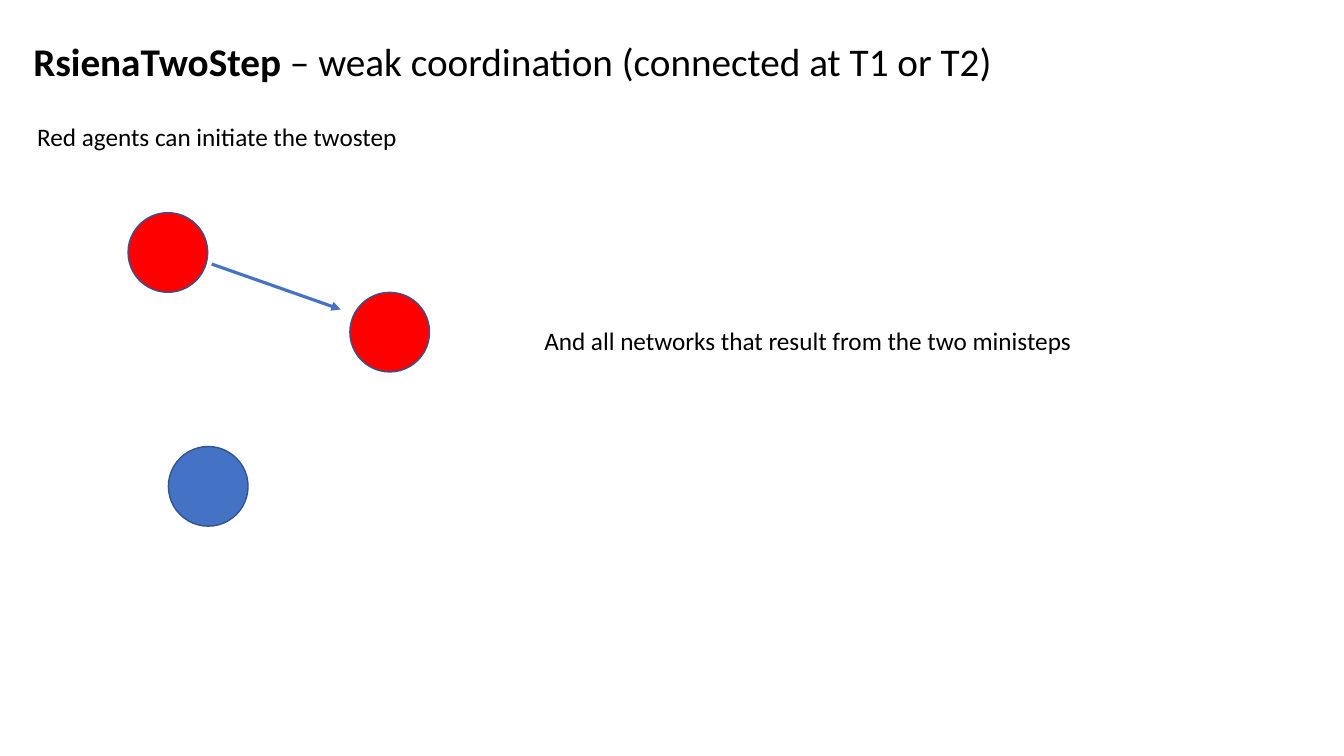
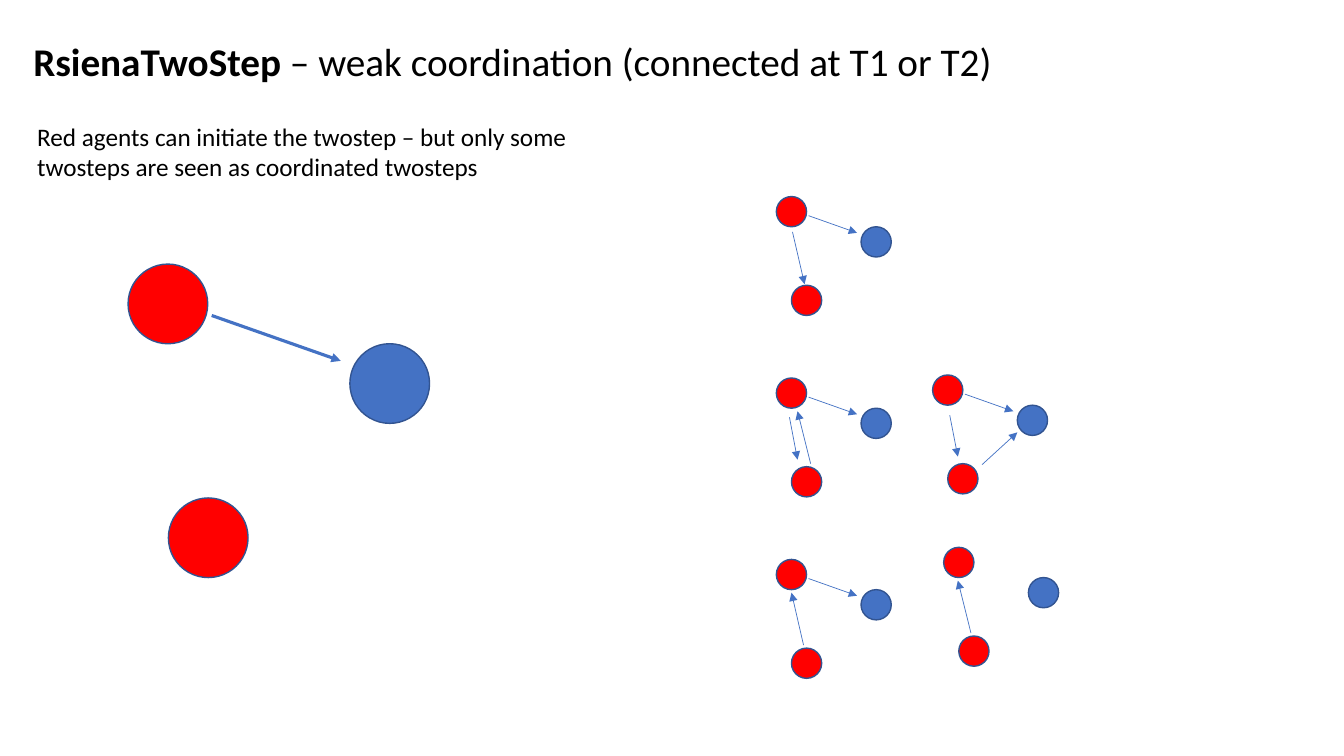
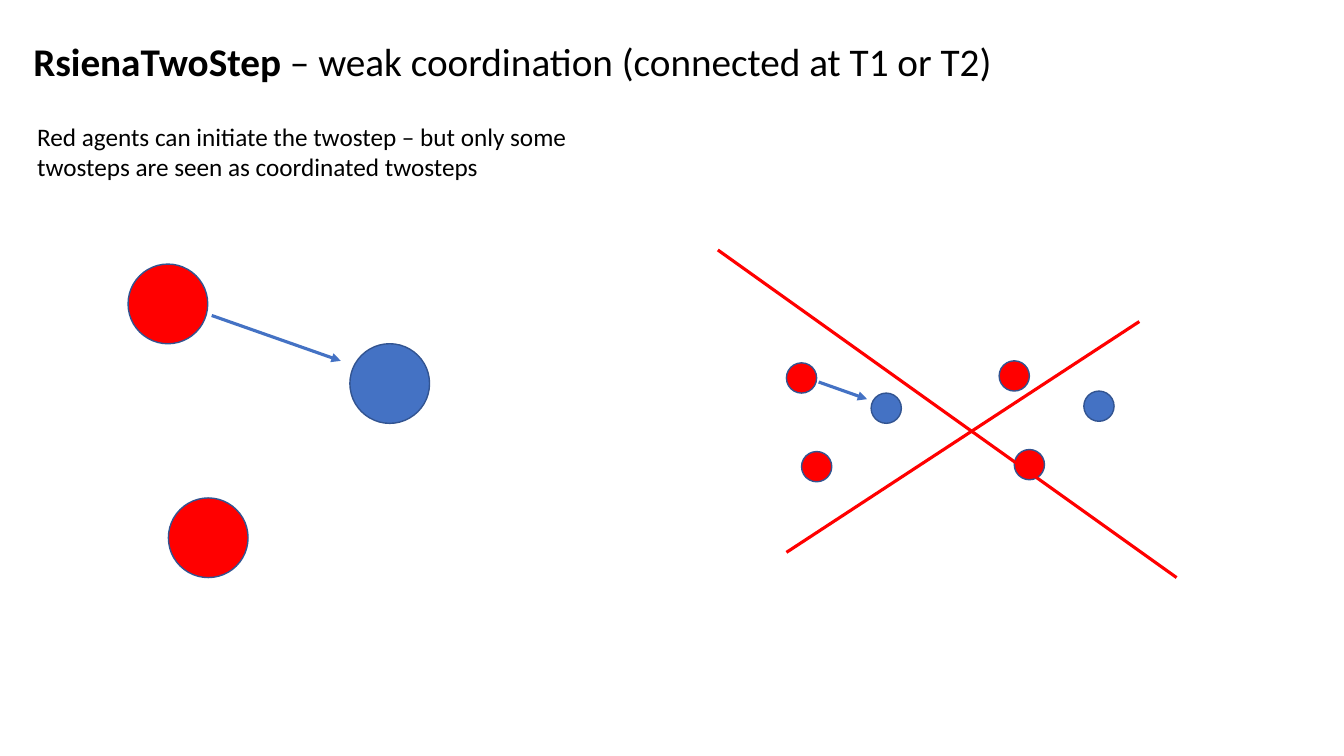
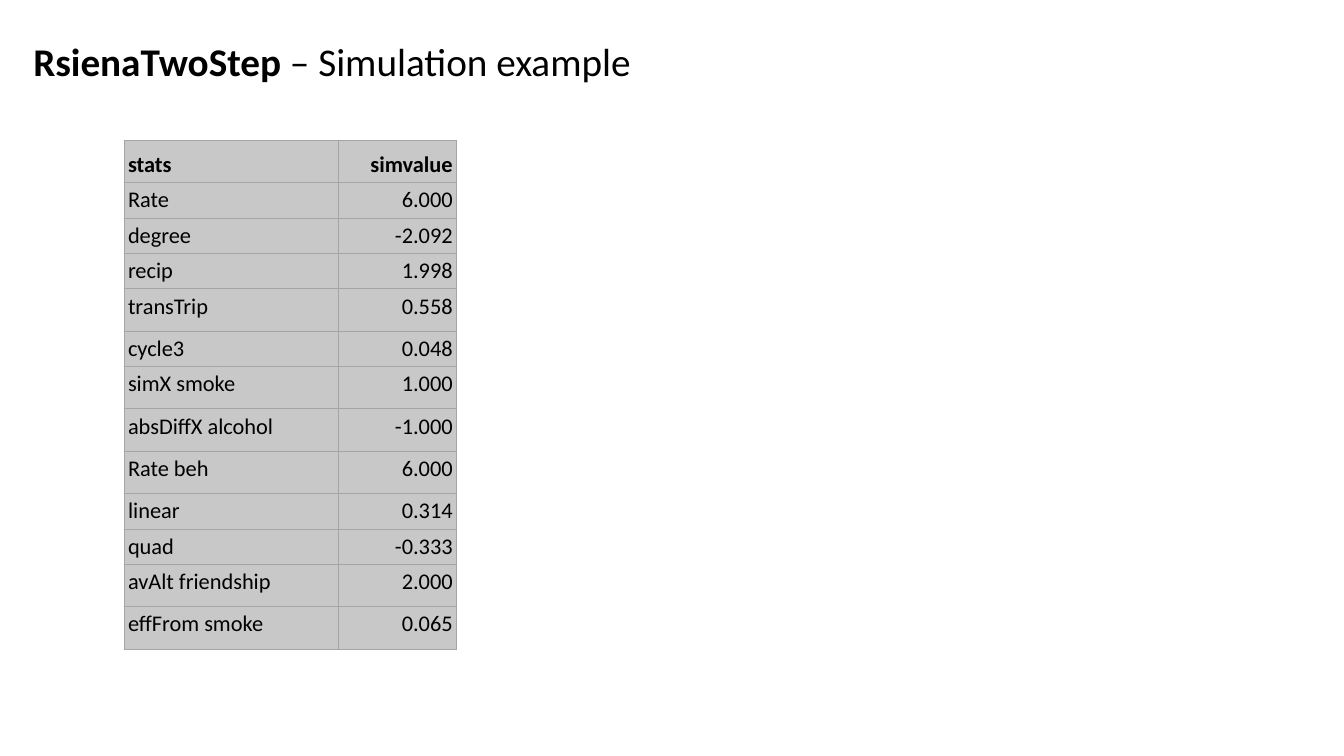
from lxml import etree
from pptx import Presentation
from pptx.dml.color import RGBColor
from pptx.enum.shapes import MSO_CONNECTOR, MSO_SHAPE
from pptx.enum.text import MSO_ANCHOR, MSO_AUTO_SIZE, PP_ALIGN
from pptx.oxml.ns import qn
from pptx.util import Pt

PX = 9144  # 100 px to the inch
ELLIPSE, STRAIGHT = MSO_SHAPE.OVAL, MSO_CONNECTOR.STRAIGHT
TOP, BOTTOM = MSO_ANCHOR.TOP, MSO_ANCHOR.BOTTOM
LEFT, RIGHT = PP_ALIGN.LEFT, PP_ALIGN.RIGHT
FONT = "Calibri"
BLACK, RED, BLUE, RIM = "000000", "FF0000", "4472C4", "325491"
CELL_FILL, CELL_LINE = "C8C8C8", "A5A5A5"
THICK, THIN = 2.25, 0.5

# A network: three agents and the tie from the first to the third
DIAMETER = 79
AGENTS = [(0, 0), (40, 232), (220, 79)]
TIE = (83, 51, 211, 96)
LARGE, SMALL = 1, 0.38
THIRD_RED, THIRD_BLUE = (RED, BLUE, RED), (RED, RED, BLUE)

WEAK = " – weak coordination (connected at T1 or T2)"
SOME = ("Red agents can initiate the twostep – but only some "
        "twosteps are seen as coordinated twosteps")
LARGE_NETWORK = (127, 262, LARGE, THIRD_BLUE, THICK, [])

# Networks: left, top, scale, agent colours, tie width, further ties from the corner
PAGES = [
    {"title": WEAK,
     "texts": [(530, 318, 637, 40, "And all networks that result from the two ministeps"),
               (27, 115, 620, 40, "Red agents can initiate the twostep")],
     "networks": [(127, 211, LARGE, THIRD_RED, THICK, [])]},
    {"title": WEAK,
     "texts": [(27, 115, 620, 71, SOME)],
     "networks": [
         LARGE_NETWORK,
         (770, 195, SMALL, THIRD_BLUE, THIN, [(16, 35, 28, 87)]),
         (770, 375, SMALL, THIRD_BLUE, THIN, [(13, 39, 21, 81), (34, 85, 21, 33)]),
         (770, 555, SMALL, THIRD_BLUE, THIN, [(27, 85, 15, 33)]),
         (925, 372, SMALL, THIRD_BLUE, THIN, [(17, 40, 25, 81), (49, 89, 84, 57)]),
         (936, 543, SMALL, THIRD_BLUE, None, [(27, 85, 14, 33)])]},
    {"title": WEAK,
     "texts": [(27, 115, 620, 71, SOME)],
     "networks": [
         LARGE_NETWORK,
         (780, 360, SMALL, THIRD_BLUE, THICK, []),
         (991, 358, SMALL, THIRD_BLUE, None, [])],
     "cross": [(712, 248, 1167, 573), (780, 548, 1130, 319)]},
    {"title": " – Simulation example"},
]

STATS = [
    ("stats", "simvalue"), ("Rate", "6.000"), ("degree", "-2.092"),
    ("recip", "1.998"), ("transTrip", "0.558"), ("cycle3", "0.048"),
    ("simX smoke", "1.000"), ("absDiffX alcohol", "-1.000"),
    ("Rate beh", "6.000"), ("linear", "0.314"), ("quad", "-0.333"),
    ("avAlt friendship", "2.000"), ("effFrom smoke", "0.065"),
]
SHORT_ROWS = ("Rate", "degree", "recip", "cycle3", "linear", "quad")


def add_text(frame, spans, size, align=LEFT):
    para = frame.paragraphs[0]
    para.alignment = align
    for words, bold in spans:
        span = para.add_run()
        span.text = words
        span.font.name = FONT
        span.font.size = Pt(size)
        span.font.bold = bold
        span.font.color.rgb = RGBColor.from_string(BLACK)


def add_line(shapes, ends, colour, width, arrow=True):
    line = shapes.add_connector(STRAIGHT, *(round(end) * PX for end in ends))
    line.line.color.rgb = RGBColor.from_string(colour)
    line.line.width = Pt(width)
    if arrow:
        etree.SubElement(line.line._get_or_add_ln(), qn("a:tailEnd"), type="triangle")
    etree.SubElement(line._element.spPr, qn("a:effectLst"))


deck = Presentation()
deck.slide_width, deck.slide_height = 1333 * PX, 750 * PX
title_only = deck.slide_layouts[5]

for content in PAGES:
    page = deck.slides.add_slide(title_only)

    # Title
    title = page.shapes.title
    title.left, title.top, title.width, title.height = 23 * PX, 32 * PX, 1311 * PX, 57 * PX
    title.text_frame.auto_size = MSO_AUTO_SIZE.NONE
    title.text_frame.vertical_anchor = TOP
    add_text(title.text_frame, [("RsienaTwoStep", True), (content["title"], False)], 28)

    # Networks
    for left, top, scale, colours, tie_width, ties in content.get("networks", []):
        shapes = page.shapes.add_group_shape().shapes
        size = round(DIAMETER * scale) * PX
        for (x, y), colour in zip(AGENTS, colours):
            agent = shapes.add_shape(ELLIPSE, round(left + x * scale) * PX,
                                     round(top + y * scale) * PX, size, size)
            agent.shadow.inherit = False
            agent.fill.solid()
            agent.fill.fore_color.rgb = RGBColor.from_string(colour)
            agent.line.color.rgb = RGBColor.from_string(RIM)
            agent.line.width = Pt(1)
        arrows = [(end, THIN) for end in ties]
        if tie_width:
            arrows.insert(0, ([end * scale for end in TIE], tie_width))
        for (x1, y1, x2, y2), width in arrows:
            add_line(shapes, (left + x1, top + y1, left + x2, top + y2), BLUE, width)

    # Cross over the excluded networks
    for ends in content.get("cross", []):
        add_line(page.shapes, ends, RED, THICK, arrow=False)

    # Explanations
    for left, top, width, height, words in content.get("texts", []):
        box = page.shapes.add_textbox(left * PX, top * PX, width * PX, height * PX)
        box.text_frame.word_wrap = True
        add_text(box.text_frame, [(words, False)], 18)

# Table of simulated values, on the last page
row_heights = [34 if name in SHORT_ROWS else 42 for name, _ in STATS]
table = page.shapes.add_table(len(STATS), 2, 123 * PX, 139 * PX, 330 * PX,
                              sum(row_heights) * PX).table
table.first_row = table.horz_banding = False
table.columns[0].width, table.columns[1].width = 213 * PX, 117 * PX
for index, (values, height) in enumerate(zip(STATS, row_heights)):
    table.rows[index].height = height * PX
    for column, (value, align) in enumerate(zip(values, (LEFT, RIGHT))):
        cell = table.cell(index, column)
        cell.margin_left = cell.margin_right = cell.margin_top = cell.margin_bottom = 4 * PX
        cell.vertical_anchor = BOTTOM if index == 0 else TOP
        add_text(cell.text_frame, [(value, index == 0)], 16, align)
        for side in ("a:lnL", "a:lnR", "a:lnT", "a:lnB"):
            border = etree.SubElement(cell._tc.get_or_add_tcPr(), qn(side), w=str(Pt(0.5)))
            paint = etree.SubElement(border, qn("a:solidFill"))
            etree.SubElement(paint, qn("a:srgbClr"), val=CELL_LINE)
        cell.fill.solid()
        cell.fill.fore_color.rgb = RGBColor.from_string(CELL_FILL)

deck.save("out.pptx")
